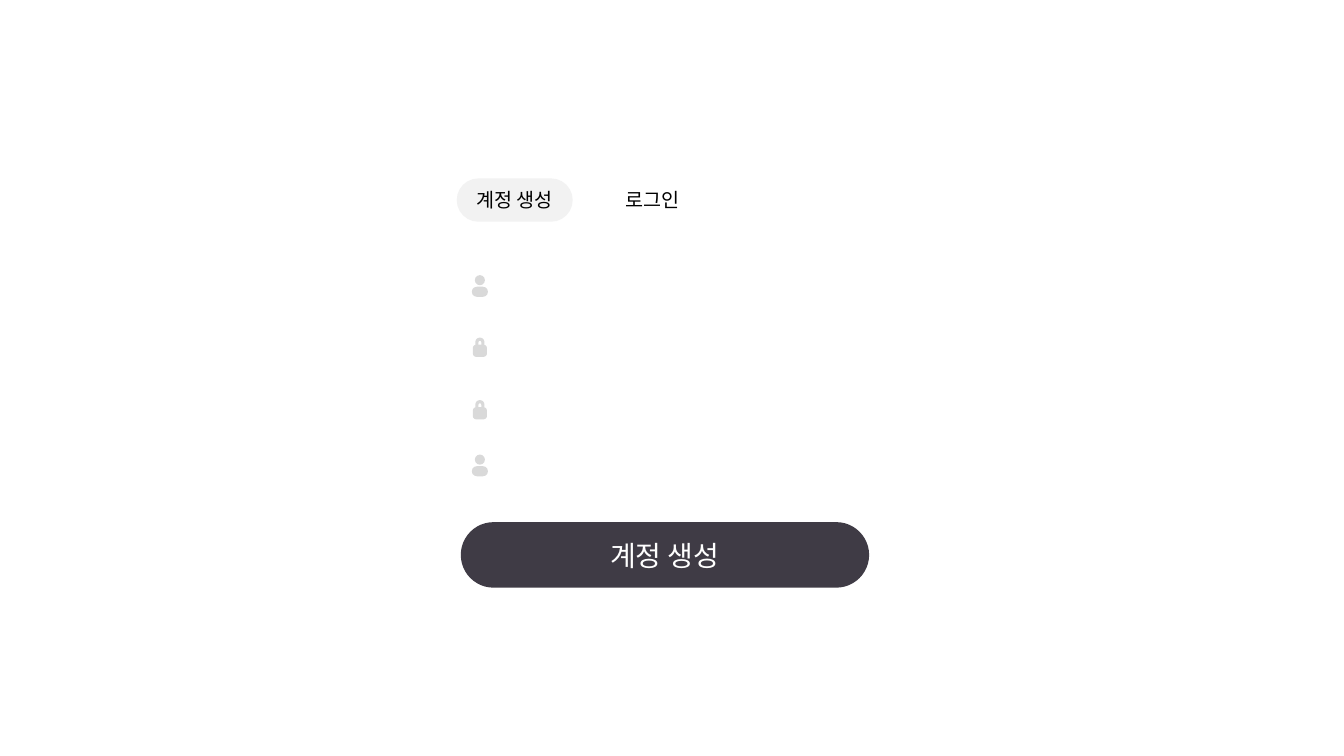
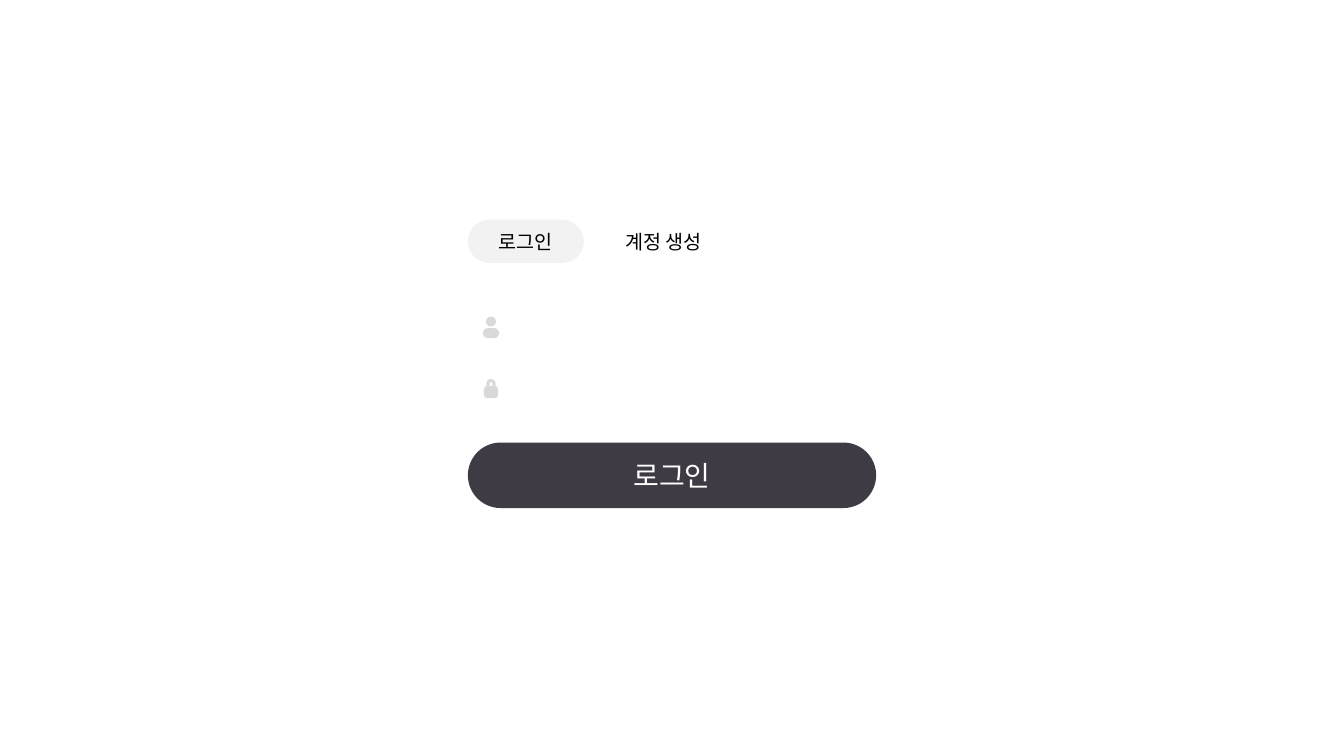
from dataclasses import dataclass

from lxml.etree import SubElement
from pptx import Presentation
from pptx.dml.color import RGBColor
from pptx.enum.shapes import MSO_SHAPE
from pptx.enum.text import MSO_ANCHOR, PP_ALIGN
from pptx.oxml.ns import qn
from pptx.util import Inches, Pt


@dataclass(frozen=True)
class Theme:
    font: str = "Noto Sans CJK KR"
    ink: str = "000000"
    paper: str = "FFFFFF"
    active_tab: str = "F2F2F2"
    icon: str = "D9D9D9"
    button: str = "3F3B45"
    tab_size: int = 14
    button_size: int = 20
    icon_line: float = 2.25


THEME = Theme()
TAB_W, TAB_H, TAB_PITCH = 1.15, 0.43, 1.365
BUTTON_W, BUTTON_H = 4.05, 0.65
ROW_TOPS = (0.86, 1.46, 2.08, 2.64)  # field rows, below the top of the form


def add_box(shapes, x, y, w, h, fill=None, line=None, radius=0.5,
            kind=MSO_SHAPE.ROUNDED_RECTANGLE):
    sp = shapes.add_shape(kind, Inches(x), Inches(y), Inches(w), Inches(h))
    sp.shadow.inherit = False
    if kind == MSO_SHAPE.ROUNDED_RECTANGLE:
        sp.adjustments[0] = radius
    if fill:
        sp.fill.solid()
        sp.fill.fore_color.rgb = RGBColor.from_string(fill)
    else:
        sp.fill.background()
    if line:
        sp.line.color.rgb = RGBColor.from_string(line)
        sp.line.width = Pt(THEME.icon_line)
    else:
        sp.line.fill.background()
    return sp


def set_label(sp, text, size, color):
    tf = sp.text_frame
    frame_format = {"word_wrap": True, "vertical_anchor": MSO_ANCHOR.MIDDLE,
                    "margin_left": 0, "margin_right": 0}
    for name, value in frame_format.items():
        setattr(tf, name, value)
    p = tf.paragraphs[0]
    p.alignment = PP_ALIGN.CENTER
    r = p.add_run()
    r.text = text
    for name, value in {"name": THEME.font, "size": Pt(size)}.items():
        setattr(r.font, name, value)
    r.font.color.rgb = RGBColor.from_string(color)
    # Korean glyphs take the East Asian typeface
    SubElement(r.font._element, qn("a:ea"), typeface=THEME.font)


def add_person(shapes, x, y):
    icon = shapes.add_group_shape().shapes
    add_box(icon, x + 0.18, y + 0.1, 0.1, 0.1, THEME.icon, kind=MSO_SHAPE.OVAL)
    add_box(icon, x + 0.15, y + 0.215, 0.16, 0.1, THEME.icon)


def add_lock(shapes, x, y):
    icon = shapes.add_group_shape().shapes
    add_box(icon, x + 0.16, y + 0.19, 0.14, 0.12, THEME.icon, radius=0.27)
    add_box(icon, x + 0.2, y + 0.135, 0.06, 0.12, line=THEME.icon)


def add_tabs(shapes, x, y, labels):
    """Place the tabs in a row; the first one is active."""
    for i, text in enumerate(labels):
        fill = THEME.paper if i else THEME.active_tab
        tab = add_box(shapes, x + i * TAB_PITCH, y, TAB_W, TAB_H, fill)
        set_label(tab, text, THEME.tab_size, THEME.ink)


def add_button(shapes, x, y, text):
    button = add_box(shapes, x, y, BUTTON_W, BUTTON_H, THEME.button)
    set_label(button, text, THEME.button_size, THEME.paper)


def add_form(prs, x, y, tabs, icons, button_at):
    """Build a form slide at x, y; the button repeats the active tab's label."""
    shapes = prs.slides.add_slide(prs.slide_layouts[6]).shapes
    add_tabs(shapes, x, y, tabs)
    for add_icon, row_top in zip(icons, ROW_TOPS):
        add_icon(shapes, x, y + row_top)
    dx, dy = button_at
    add_button(shapes, x + dx, y + dy, tabs[0])


def main():
    prs = Presentation()
    prs.slide_width, prs.slide_height = Inches(13.33), Inches(7.5)
    sign_up, log_in = "계정 생성", "로그인"
    add_form(prs, 4.53, 1.77, (sign_up, log_in),
             (add_person, add_lock, add_lock, add_person), (0.04, 3.41))
    add_form(prs, 4.64, 2.18, (log_in, sign_up),
             (add_person, add_lock), (0, 2.21))
    prs.save("out.pptx")


if __name__ == "__main__":
    main()
